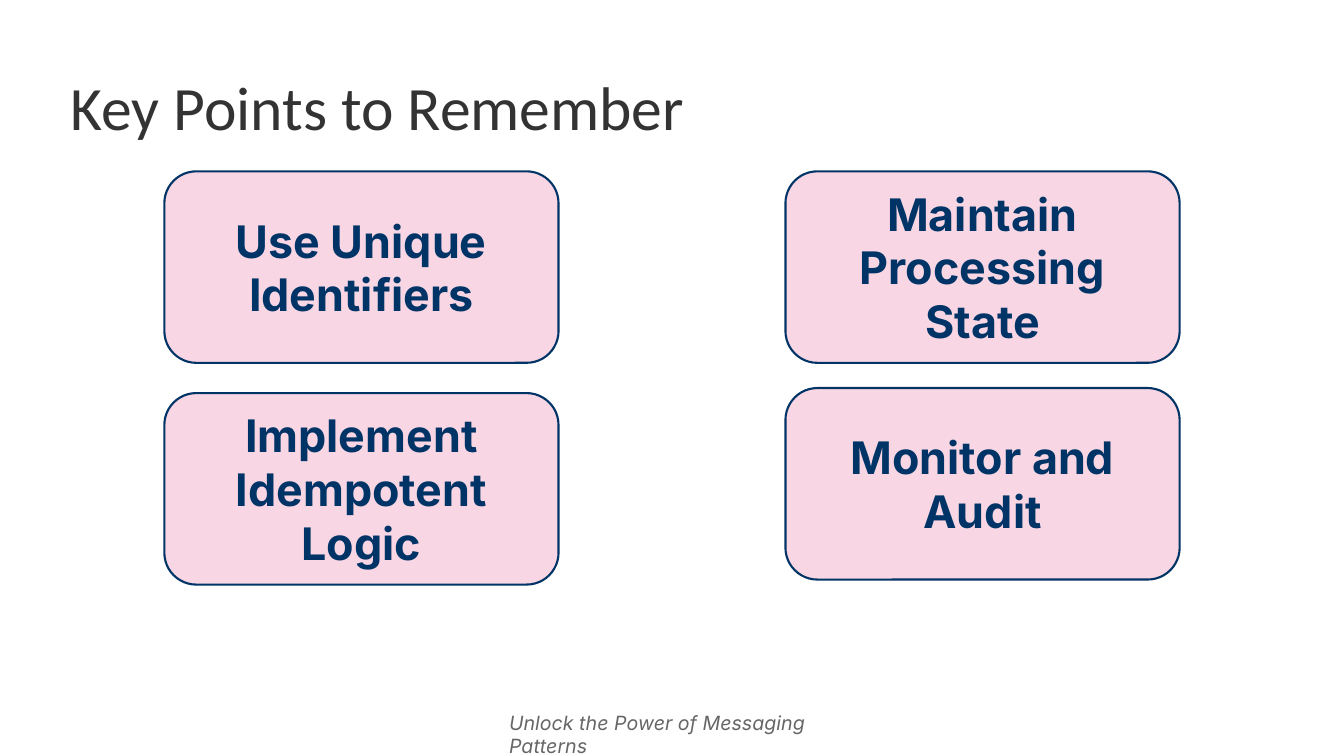
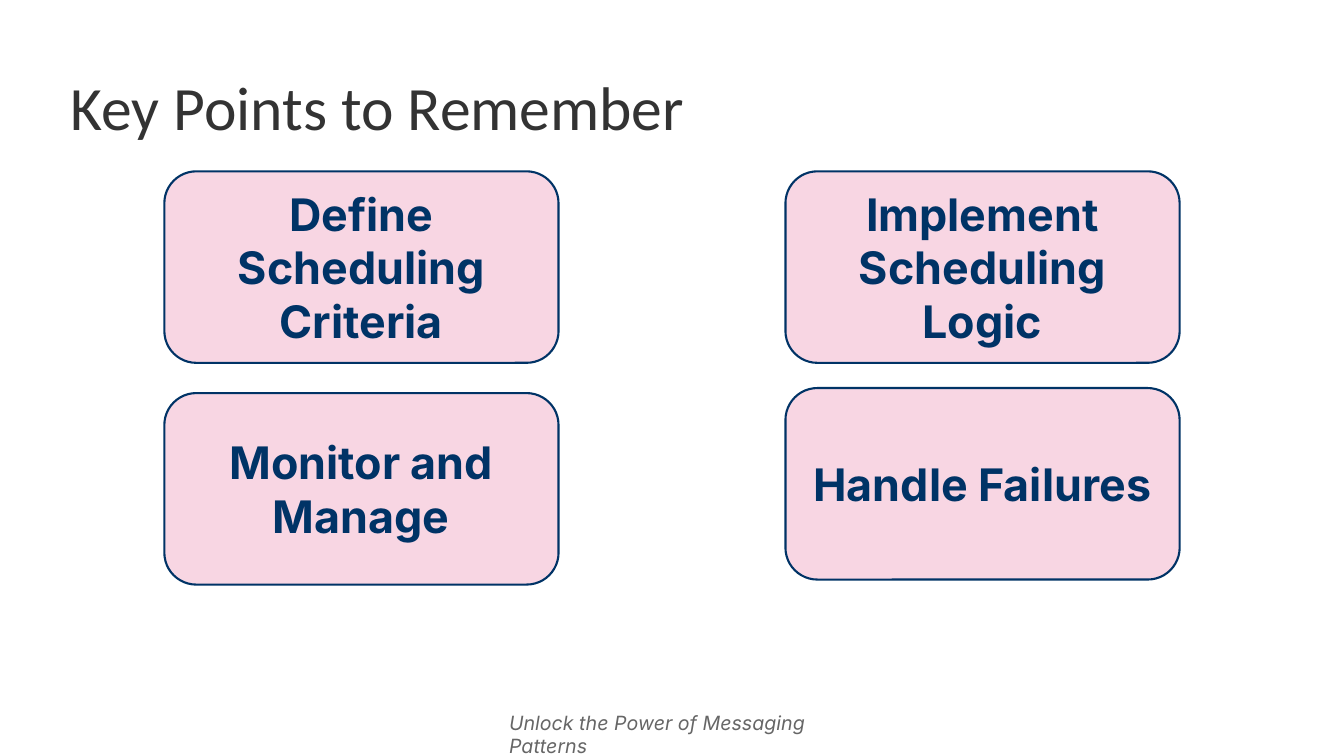
from dataclasses import dataclass

from lxml import etree
from pptx import Presentation
from pptx.dml.color import RGBColor
from pptx.enum.shapes import MSO_SHAPE
from pptx.enum.text import MSO_ANCHOR, MSO_AUTO_SIZE, PP_ALIGN
from pptx.oxml.ns import qn
from pptx.util import Emu, Pt

PX = 9144  # EMU in one px, 100 px to the inch
ROUNDED = MSO_SHAPE.ROUNDED_RECTANGLE
MIDDLE, TOP = MSO_ANCHOR.MIDDLE, MSO_ANCHOR.TOP
LEFT, CENTER = PP_ALIGN.LEFT, PP_ALIGN.CENTER
NO_AUTOFIT = MSO_AUTO_SIZE.NONE
TITLE_ONLY = 5


@dataclass(frozen=True)
class Theme:
    ink: str = "333333"
    navy: str = "003366"
    pink: str = "DD3377"
    gray: str = "666666"
    pink_opacity: int = 20
    outline: float = 1.5
    title_size: int = 44
    card_size: int = 32
    footer_size: int = 14
    title_font: str = "Calibri"
    body_font: str = "Inter"


THEME = Theme()
TITLE_FORMAT = {"name": THEME.title_font, "size": Pt(THEME.title_size)}
CARD_FORMAT = {"name": THEME.body_font, "size": Pt(THEME.card_size), "bold": True}
FOOTER_FORMAT = {"name": THEME.body_font, "size": Pt(THEME.footer_size), "italic": True}

SLIDE_SIZE = (1333, 750)
TITLE_BOX = (60, 50, 1214, 120)
FOOTER_BOX = (495, 700, 342, 34)
GRID_BOX = (163, 170, 1007, 410)
CARD_SIZE = (391, 190)
RIGHT_COLUMN_LIFT = 5  # the lower right card sits slightly higher

FOOTER = "Unlock the Power of Messaging Patterns"
SLIDES = [
    ("Key Points to Remember",
     ["Use Unique Identifiers", "Maintain Processing State",
      "Implement Idempotent Logic", "Monitor and Audit"]),
    ("Key Points to Remember",
     ["Define Scheduling Criteria", "Implement Scheduling Logic",
      "Monitor and Manage", "Handle Failures"]),
]


def emu(box):
    return [Emu(length * PX) for length in box]


def write(shape, text, font_format, color, align, anchor):
    frame = shape.text_frame
    frame.text = text
    frame.word_wrap = True
    frame.auto_size = NO_AUTOFIT
    frame.vertical_anchor = anchor
    paragraph = frame.paragraphs[0]
    paragraph.alignment = align
    font = paragraph.runs[0].font
    for attribute, value in font_format.items():
        setattr(font, attribute, value)
    font.color.rgb = RGBColor.from_string(color)
    return paragraph


def add_title(slide, box, text):
    title = slide.shapes.title
    title.left, title.top, title.width, title.height = emu(box)
    paragraph = write(title, text, TITLE_FORMAT, THEME.ink, LEFT, MIDDLE)
    paragraph.line_spacing = 0.9


def add_layout_footer(layout, slide, box):
    """Create the footer on a slide, then move it to the shared layout."""
    footer = slide.shapes.add_textbox(*emu(box))
    write(footer, FOOTER, FOOTER_FORMAT, THEME.gray, LEFT, TOP)
    layout.shapes.element.append(footer.element)


def add_card(slide, box, text):
    card = slide.shapes.add_shape(ROUNDED, *emu(box))
    card.shadow.inherit = False
    card.fill.solid()
    card.fill.fore_color.rgb = RGBColor.from_string(THEME.pink)
    pink = card.element.spPr.find(f"{qn('a:solidFill')}/{qn('a:srgbClr')}")
    etree.SubElement(pink, qn("a:alpha"), val=str(THEME.pink_opacity * 1000))
    card.line.color.rgb = RGBColor.from_string(THEME.navy)
    card.line.width = Pt(THEME.outline)
    write(card, text, CARD_FORMAT, THEME.navy, CENTER, MIDDLE)


def add_card_grid(slide, box, points):
    """Put four cards in the corners of the box, row by row."""
    left, top, width, height = box
    card_width, card_height = CARD_SIZE
    for index, point in enumerate(points):
        row, column = divmod(index, 2)
        x = left + column * (width - card_width)
        y = top + row * (height - card_height - column * RIGHT_COLUMN_LIFT)
        add_card(slide, (x, y, card_width, card_height), point)


def main():
    deck = Presentation()
    deck.slide_width, deck.slide_height = emu(SLIDE_SIZE)
    layout = deck.slide_layouts[TITLE_ONLY]
    for number, (title, points) in enumerate(SLIDES):
        slide = deck.slides.add_slide(layout)
        if number == 0:
            add_layout_footer(layout, slide, FOOTER_BOX)
        add_title(slide, TITLE_BOX, title)
        add_card_grid(slide, GRID_BOX, points)
    deck.save("out.pptx")


if __name__ == "__main__":
    main()
